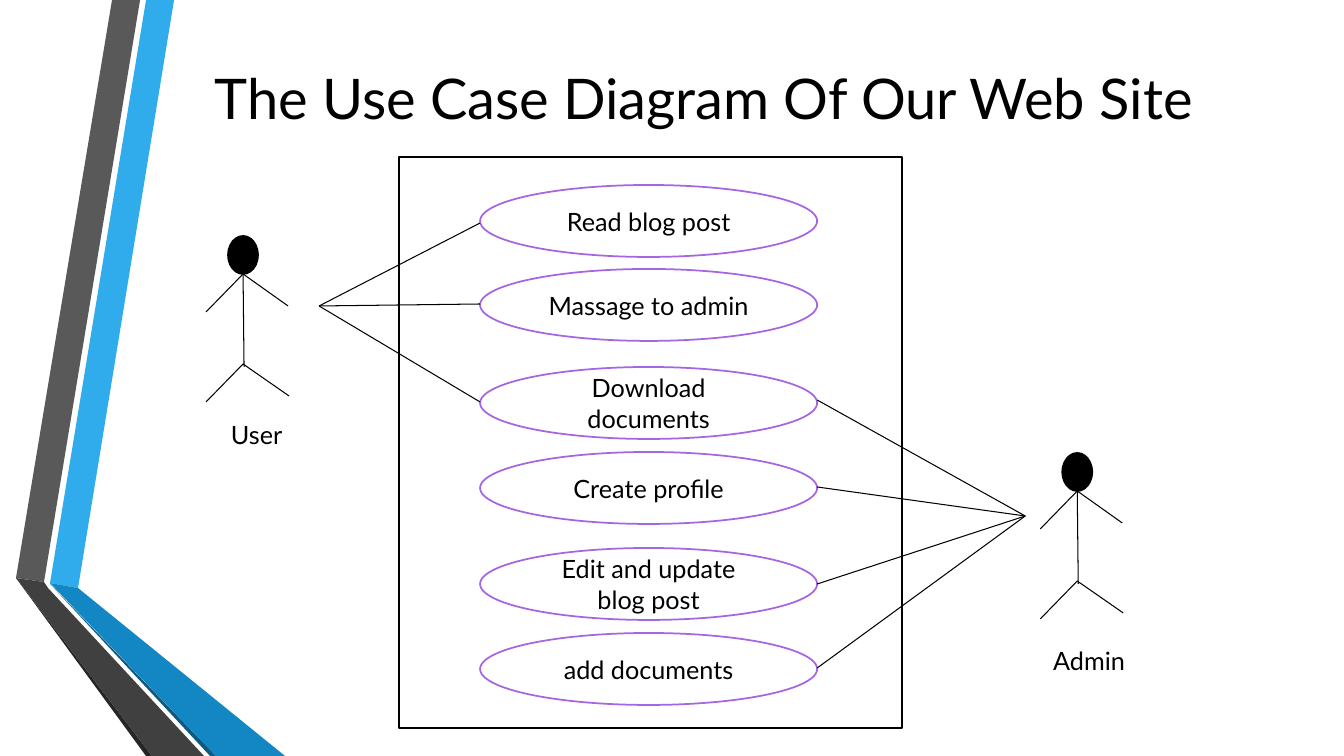
from pptx import Presentation
from pptx.dml.color import RGBColor
from pptx.enum.shapes import MSO_CONNECTOR, MSO_SHAPE
from pptx.enum.text import MSO_ANCHOR, PP_ALIGN
from pptx.oxml.ns import qn
from pptx.util import Inches, Pt
from lxml.etree import SubElement

SCALE = 914400 / 100.8  # EMU per pixel
COLORS = {
    "black": "000000", "white": "FFFFFF", "purple": "A666E1",
    "sky": "30ACEC", "blue": "1287C3", "navy": "0C5A82",
    "grey": "595959", "charcoal": "404040", "soot": "262626",
}


def px(*lengths):
    return [round(length * SCALE) for length in lengths]


def color(name):
    return RGBColor.from_string(COLORS[name])


class DiagramSlide:
    font = "Lato"

    def __init__(self, slide):
        self.slide = slide
        self.shapes = slide.shapes

    def set_text(self, frame, text, size, align):
        frame.text = text
        frame.word_wrap = True
        paragraph = frame.paragraphs[0]
        paragraph.alignment = align
        for run in paragraph.runs:
            run.font.name = self.font
            run.font.size = Pt(size)
            run.font.color.rgb = color("black")

    def title(self, text, *box):
        heading = self.shapes.title
        heading.left, heading.top, heading.width, heading.height = px(*box)
        self.set_text(heading.text_frame, text, 40, PP_ALIGN.CENTER)
        heading.text_frame.vertical_anchor = MSO_ANCHOR.MIDDLE

    def label(self, text, *box):
        frame = self.shapes.add_textbox(*px(*box)).text_frame
        self.set_text(frame, text, 18, PP_ALIGN.LEFT)

    def shape(self, kind, box, fill, line, weight, text=""):
        outline = self.shapes.add_shape(kind, *px(*box))
        outline.shadow.inherit = False
        if fill:
            outline.fill.solid()
            outline.fill.fore_color.rgb = color(fill)
        else:
            outline.fill.background()
        outline.line.color.rgb = color(line)
        outline.line.width = Pt(weight)
        if text:
            self.set_text(outline.text_frame, text, 18, PP_ALIGN.CENTER)
            outline.text_frame.vertical_anchor = MSO_ANCHOR.MIDDLE

    def line(self, start, end):
        link = self.shapes.add_connector(
            MSO_CONNECTOR.STRAIGHT, *px(*start, *end))
        link.line.color.rgb = color("black")
        link.line.width = Pt(0.75)
        SubElement(link._element.spPr, qn("a:effectLst"))

    def polygon(self, points, fill):
        builder = self.shapes.build_freeform(*points[0], scale=SCALE)
        builder.add_line_segments(points[1:], close=True)
        band = builder.convert_to_shape()
        band.shadow.inherit = False
        band.fill.solid()
        band.fill.fore_color.rgb = color(fill)
        band.line.fill.background()

    def actor(self, left, top):
        """Stick figure placed by the top left corner of its head."""
        self.shape(MSO_SHAPE.OVAL, (left, top, 30, 38), "black", "black", 1.25)
        neck, hips = (15, 38), (15, 128)
        limbs = [(neck, (16, 131)), (neck, (-22, 76)), (neck, (60, 70)),
                 (hips, (-22, 166)), (hips, (61, 160))]
        for joint, tip in limbs:
            self.line((left + joint[0], top + joint[1]),
                      (left + tip[0], top + tip[1]))


presentation = Presentation()
presentation.slide_width, presentation.slide_height = Inches(13.33), Inches(7.5)
diagram = DiagramSlide(
    presentation.slides.add_slide(presentation.slide_layouts[5]))

# Folded ribbons on the left edge
ribbons = [
    ("sky", [(50, 583), (78, 588), (174, 0), (146, 0)]),
    ("grey", [(140, 0), (112, 0), (16, 578), (44, 582)]),
    ("soot", [(16, 578), (146, 756), (152, 756)]),
    ("navy", [(50, 584), (210, 756), (216, 756)]),
    ("blue", [(50, 583), (216, 756), (285, 756), (78, 588)]),
    ("charcoal", [(204, 756), (48, 588), (44, 582), (16, 578), (152, 756)]),
]
for ribbon_color, corners in ribbons:
    diagram.polygon(corners, ribbon_color)

diagram.title("The Use Case Diagram Of Our Web Site", 151, 0, 1105, 194)

# Use cases
CASE_LEFT, CASE_WIDTH, CASE_HEIGHT = 480, 337, 72
use_cases = {
    "Read blog post": 185,
    "Massage to admin": 269,
    "Download documents": 367,
    "Create profile": 452,
    "Edit and update blog post": 548,
    "add documents": 633,
}
for use_case, case_top in use_cases.items():
    diagram.shape(MSO_SHAPE.OVAL,
                  (CASE_LEFT, case_top, CASE_WIDTH, CASE_HEIGHT),
                  "white", "purple", 1.25, use_case)

# Actors
diagram.actor(1062, 453)
diagram.actor(228, 236)

# Links from each actor to its use cases
for link_y in (223, 304, 402):
    diagram.line((319, 306), (CASE_LEFT, link_y))
for link_y in (400, 487, 584, 668):
    diagram.line((CASE_LEFT + CASE_WIDTH, link_y), (1025, 516))

diagram.label("User", 221, 414, 160, 40)
diagram.label("Admin", 1043, 640, 160, 40)

# System boundary
diagram.shape(MSO_SHAPE.RECTANGLE, (399, 157, 503, 571), None, "black", 1)

presentation.save("out.pptx")
